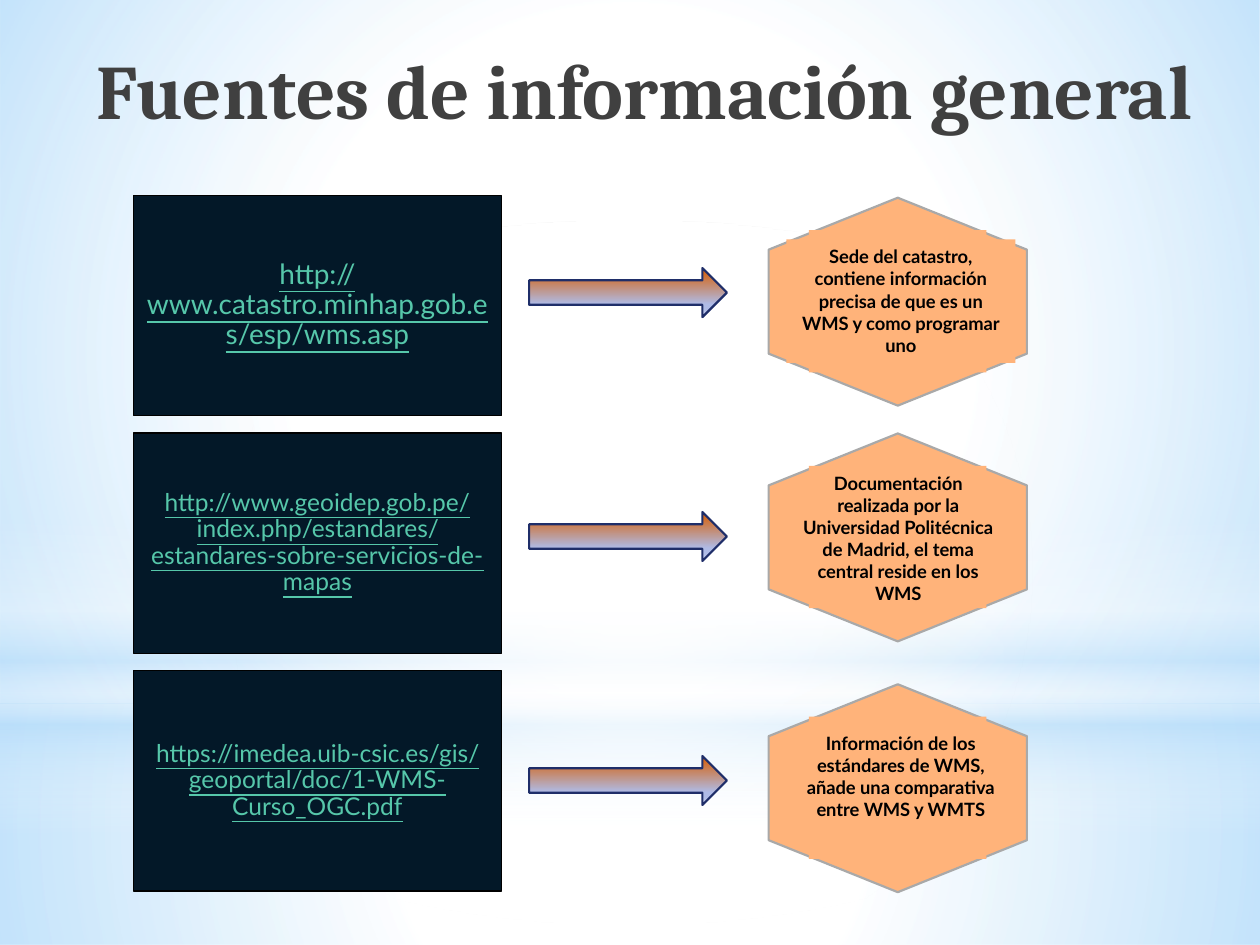
from lxml import etree
from pptx import Presentation
from pptx.dml.color import RGBColor
from pptx.enum.shapes import MSO_SHAPE
from pptx.enum.text import MSO_ANCHOR, PP_ALIGN
from pptx.oxml import parse_xml
from pptx.oxml.ns import nsdecls, qn
from pptx.util import Pt

WHITE = RGBColor(0xFF, 0xFF, 0xFF)
BLACK = RGBColor(0, 0, 0)
SKY = RGBColor(0xB4, 0xDC, 0xFA)
CHARCOAL = RGBColor(0x40, 0x40, 0x40)
NAVY = RGBColor(0x03, 0x18, 0x28)
TEAL = RGBColor(0x56, 0xC7, 0xAA)
RUST = RGBColor(0xD8, 0x5C, 0x00)
LAVENDER = RGBColor(0xAF, 0xBB, 0xE6)
PALE_LAVENDER = RGBColor(0xCA, 0xD1, 0xEE)
INDIGO = RGBColor(0x1F, 0x2E, 0x69)
PEACH = RGBColor(0xFF, 0xB3, 0x7A)
GREY = RGBColor(0xA9, 0xA9, 0xA9)

CIRCLE = ('<a:path path="circle"><a:fillToRect l="50000" t="50000" '
          'r="50000" b="50000"/></a:path>')
DOWN = '<a:lin ang="5400000" scaled="0"/>'
ARROW_STOPS = [(0, RUST, 100), (74, LAVENDER, 100), (83, LAVENDER, 100),
               (100, PALE_LAVENDER, 100)]

# shape, box, (position, colour, opacity) stops, direction
BACKDROP = [
    (MSO_SHAPE.RECTANGLE, (0, 401.8, 720, 138.2),
     [(0, WHITE, 91), (37, WHITE, 76), (100, SKY, 79)], CIRCLE),
    (MSO_SHAPE.RECTANGLE, (0, 0, 720, 401.8),
     [(0, WHITE, 89), (48, WHITE, 62), (100, SKY, 79)], CIRCLE),
    (MSO_SHAPE.RECTANGLE, (0, 296.6, 720, 180),
     [(0, WHITE, 0), (29, WHITE, 30), (45, SKY, 40), (55, WHITE, 26),
      (65, SKY, 60), (100, WHITE, 0)], DOWN),
    (MSO_SHAPE.OVAL, (0, 126, 720, 401.8),
     [(0, WHITE, 100), (56, WHITE, 0)], CIRCLE),
]

# address, size, inset, hexagon top, note box, note
ROWS = [
    ("http://www.catastro.minhap.gob.es/esp/wms.asp", 16, 5, 98.6,
     (449.3, 136.8, 131, 70.6),
     "Sede del catastro, contiene información precisa de que es un WMS "
     "y como programar uno"),
    ("http://www.geoidep.gob.pe/index.php/estandares/"
     "estandares-sobre-servicios-de-mapas", 14, 4.3, 233.3,
     (447.8, 266.4, 131, 83.5),
     "Documentación realizada por la Universidad Politécnica de Madrid, "
     "el tema central reside en los WMS"),
    ("https://imedea.uib-csic.es/gis/geoportal/doc/1-WMS-Curso_OGC.pdf",
     14, 4.3, 376.6, (449.3, 414.7, 131, 58.3),
     "Información de los estándares de WMS, añade una comparativa "
     "entre WMS y WMTS"),
]


class Deck:
    LINK = {"name": "Lato", "underline": True}
    NOTE = {"name": "Lato", "size": Pt(10.5), "bold": True}
    TITLE = {"name": "Cambria", "size": Pt(44), "bold": True}

    def __init__(self, slide):
        self.s = slide

    def shape(self, kind, box, fill=None, line=None, width=1.25):
        sp = self.s.shapes.add_shape(kind, *map(Pt, box))
        sp.shadow.inherit = False
        if fill is None:
            sp.fill.background()
        else:
            sp.fill.solid()
            sp.fill.fore_color.rgb = fill
        if line is None:
            sp.line.fill.background()
        else:
            sp.line.color.rgb = line
            sp.line.width = Pt(width)
        return sp

    def gradient(self, kind, box, stops, direction, line=None):
        sp = self.shape(kind, box, line=line)
        grad = parse_xml(f'<a:gradFill {nsdecls("a")} rotWithShape="1">'
                         f'<a:gsLst/>{direction}</a:gradFill>')
        for position, colour, opacity in stops:
            gs = etree.SubElement(grad[0], qn("a:gs"), pos=str(position * 1000))
            clr = etree.SubElement(gs, qn("a:srgbClr"), val=str(colour))
            etree.SubElement(clr, qn("a:alpha"), val=str(opacity * 1000))
        props = sp._element.spPr
        props.replace(props.find(qn("a:noFill")), grad)

    def set_text(self, sp, text, font, colour, align, anchor, spacing=None):
        tf = sp.text_frame
        tf.word_wrap = True
        tf.vertical_anchor = anchor
        p = tf.paragraphs[0]
        p.alignment = align
        p.line_spacing = spacing
        r = p.add_run()
        r.text = text
        for key, value in font.items():
            setattr(r.font, key, value)
        r.font.color.rgb = colour

    def title(self, text, box):
        sp = self.s.shapes.title
        for key, value in zip(("left", "top", "width", "height"), box):
            setattr(sp, key, Pt(value))
        self.set_text(sp, text, self.TITLE, CHARCOAL, PP_ALIGN.RIGHT,
                      MSO_ANCHOR.TOP)
        self.s.shapes._spTree.append(sp._element)  # in front of the backdrop

    def card(self, top, text, size, inset):
        sp = self.shape(MSO_SHAPE.RECTANGLE, (76.3, top, 210.2, 126),
                        NAVY, BLACK, 0.75)
        for side in ("left", "right", "top", "bottom"):
            setattr(sp.text_frame, f"margin_{side}", Pt(inset))
        self.set_text(sp, text, {**self.LINK, "size": Pt(size)}, TEAL,
                      PP_ALIGN.CENTER, MSO_ANCHOR.MIDDLE, 0.9)

    def arrow(self, top):
        self.gradient(MSO_SHAPE.RIGHT_ARROW, (302.4, top, 113, 28),
                      ARROW_STOPS, DOWN, INDIGO)

    def hexagon(self, top):
        sp = self.shape(MSO_SHAPE.HEXAGON, (453.6, top, 118.8, 147.6), PEACH, GREY)
        sp.adjustments[0] = 0.25
        sp.rotation = 90
        self.shape(MSO_SHAPE.RECTANGLE, (462.2, top + 32.9, 101.5, 81.4), PEACH)

    def note(self, box, text, fill=None):
        sp = self.shape(MSO_SHAPE.RECTANGLE, box, fill)
        self.set_text(sp, text, self.NOTE, BLACK, PP_ALIGN.CENTER, MSO_ANCHOR.TOP)


def main():
    prs = Presentation()
    prs.slide_width, prs.slide_height = Pt(720), Pt(540)
    deck = Deck(prs.slides.add_slide(prs.slide_layouts[5]))
    for layer in BACKDROP:
        deck.gradient(*layer)
    deck.title("Fuentes de información general", (10, 20.9, 679, 88.6))
    for i, (address, size, inset, hexagon_top, note_box, note) in enumerate(ROWS):
        deck.card(111.6 + 135.75 * i, address, size, inset)
        deck.arrow(153.2 + 139.4 * i)
        deck.hexagon(hexagon_top)
        deck.note(note_box, note, PEACH if i == 0 else None)
    prs.save("out.pptx")


if __name__ == "__main__":
    main()
